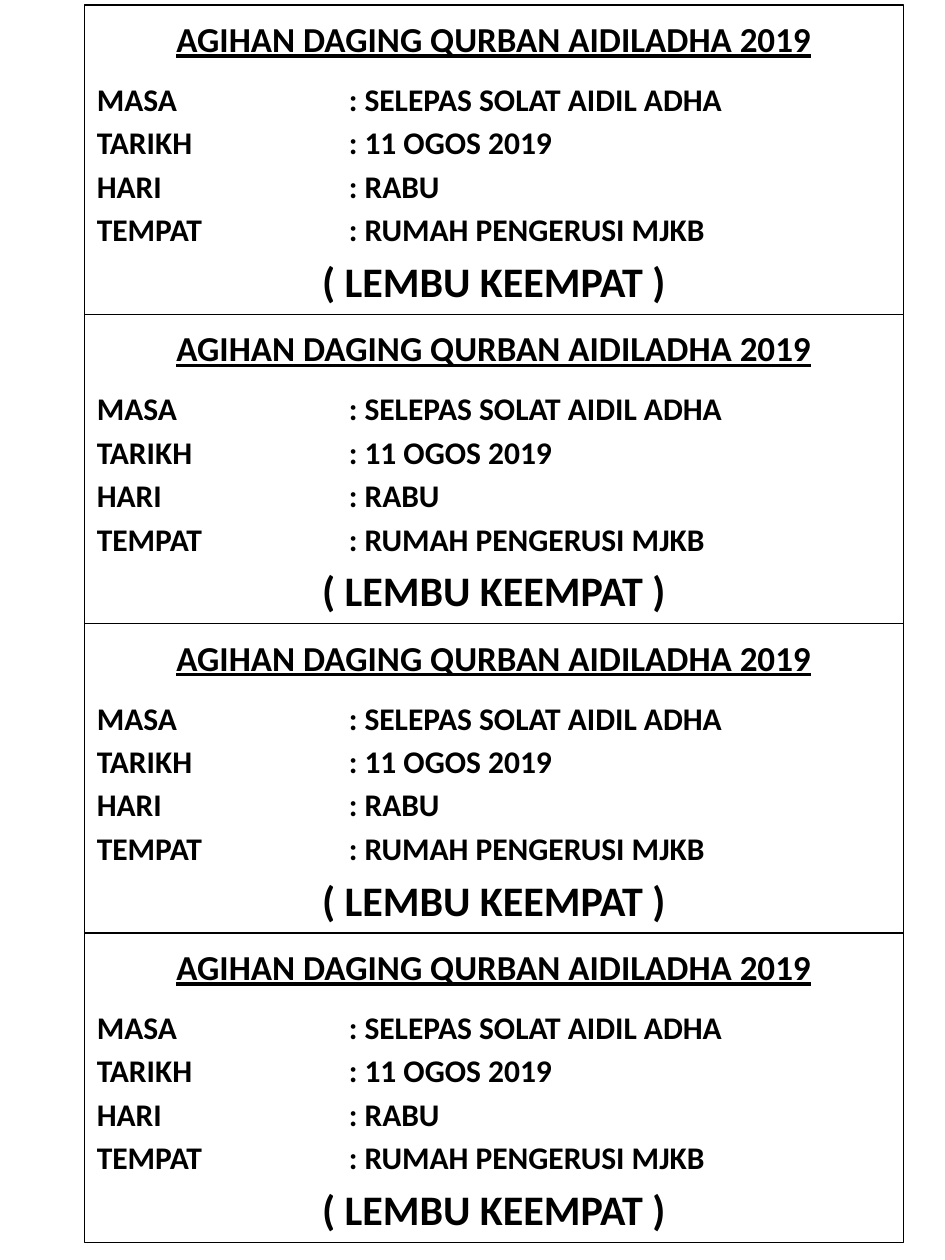
from pptx import Presentation
from pptx.dml.color import RGBColor
from pptx.enum.shapes import MSO_SHAPE as SHAPE
from pptx.enum.text import MSO_ANCHOR as ANCHOR, PP_ALIGN as ALIGN
from pptx.oxml.ns import qn
from pptx.util import Inches, Pt
from lxml.etree import SubElement

# Grid: four equal coupons stacked in one column
COUPONS = 4
LEFT, TOP, WIDTH, HEIGHT = 0.67, 0.04, 6.5, 2.455
VALUE_TAB = 2

TITLE = "AGIHAN DAGING QURBAN AIDILADHA 2019"
DETAILS = [
    ("MASA", "SELEPAS SOLAT AIDIL ADHA"),
    ("TARIKH", "11 OGOS 2019"),
    ("HARI", "RABU"),
    ("TEMPAT", "RUMAH PENGERUSI MJKB"),
]
GROUP = "( LEMBU KEEMPAT )"


def color(hex_code):
    return RGBColor.from_string(hex_code)


def add_tab(p, inches):
    tabs = SubElement(p._p.get_or_add_pPr(), qn("a:tabLst"))
    SubElement(tabs, qn("a:tab"), pos=str(Inches(inches)), algn="l")


def add_line(tf, text, size, align=ALIGN.LEFT, underline=False, before=0):
    first = not tf.paragraphs[0].runs
    p = tf.paragraphs[0] if first else tf.add_paragraph()
    p.text = text
    p.alignment = align
    p.line_spacing = 1.15
    if before:
        p.space_before = Pt(before)
    if "\t" in text:
        add_tab(p, VALUE_TAB)
    font = p.font
    font.name, font.size, font.bold = "Calibri", Pt(size), True
    font.underline = underline
    font.color.rgb = color("000000")


def add_coupon(s, row):
    sp = s.shapes.add_shape(SHAPE.RECTANGLE, Inches(LEFT), Inches(TOP + row * HEIGHT),
                            Inches(WIDTH), Inches(HEIGHT))
    sp.shadow.inherit = False
    sp.fill.solid()
    sp.fill.fore_color.rgb = color("FFFFFF")
    sp.line.color.rgb = color("000000")
    sp.line.width = Pt(0.75)
    tf = sp.text_frame
    tf.word_wrap = True
    tf.vertical_anchor = ANCHOR.TOP

    # Heading, label and value lines, then the group name
    add_line(tf, TITLE, 20, ALIGN.CENTER, underline=True)
    for i, (label, value) in enumerate(DETAILS):
        add_line(tf, f"{label}\t: {value}", 18, before=0 if i else 8.4)
    add_line(tf, GROUP, 24, ALIGN.CENTER)


def main():
    prs = Presentation()
    prs.slide_width, prs.slide_height = Inches(7.5), Inches(10)
    s = prs.slides.add_slide(prs.slide_layouts[6])
    for row in range(COUPONS):
        add_coupon(s, row)
    prs.save("out.pptx")


if __name__ == "__main__":
    main()
